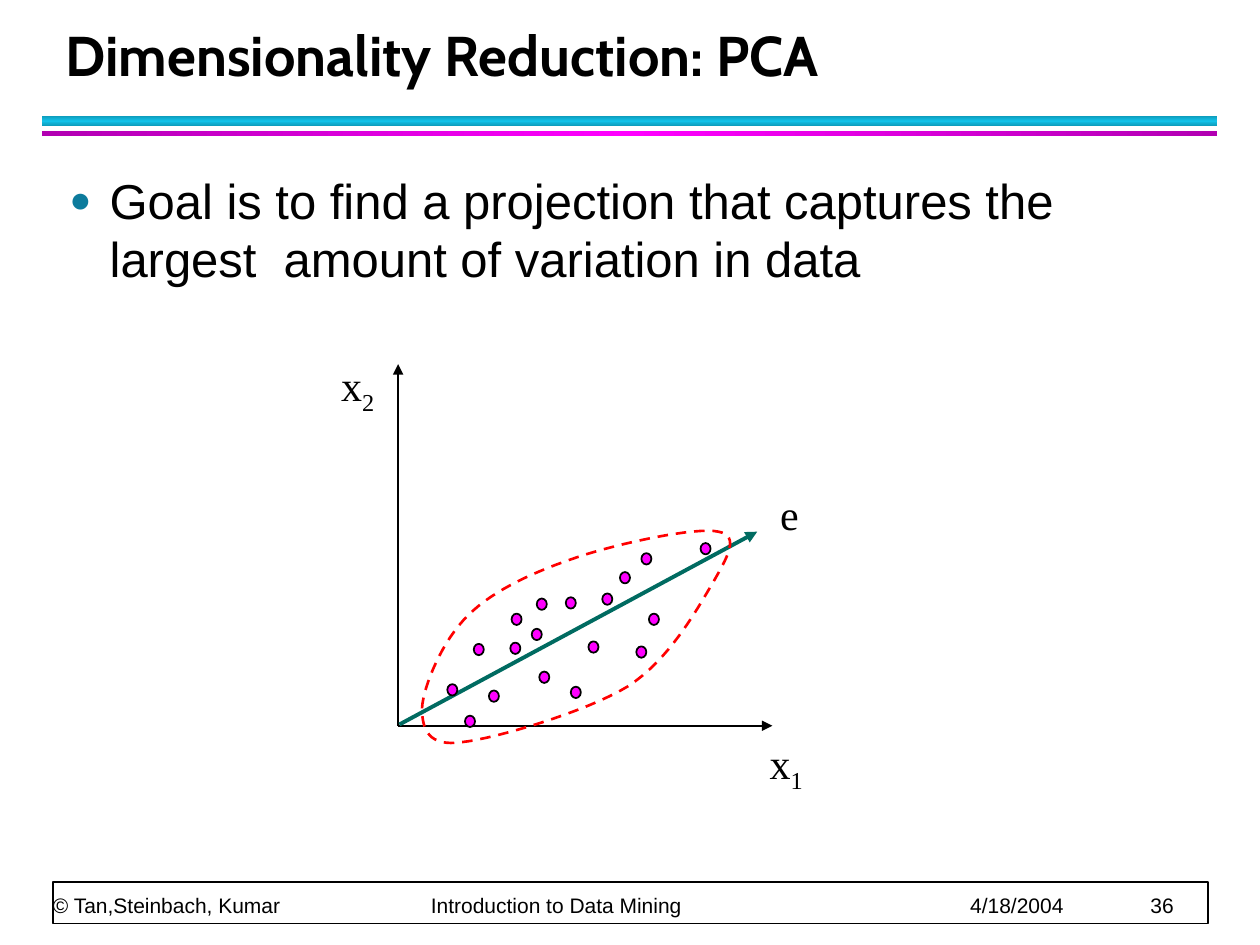
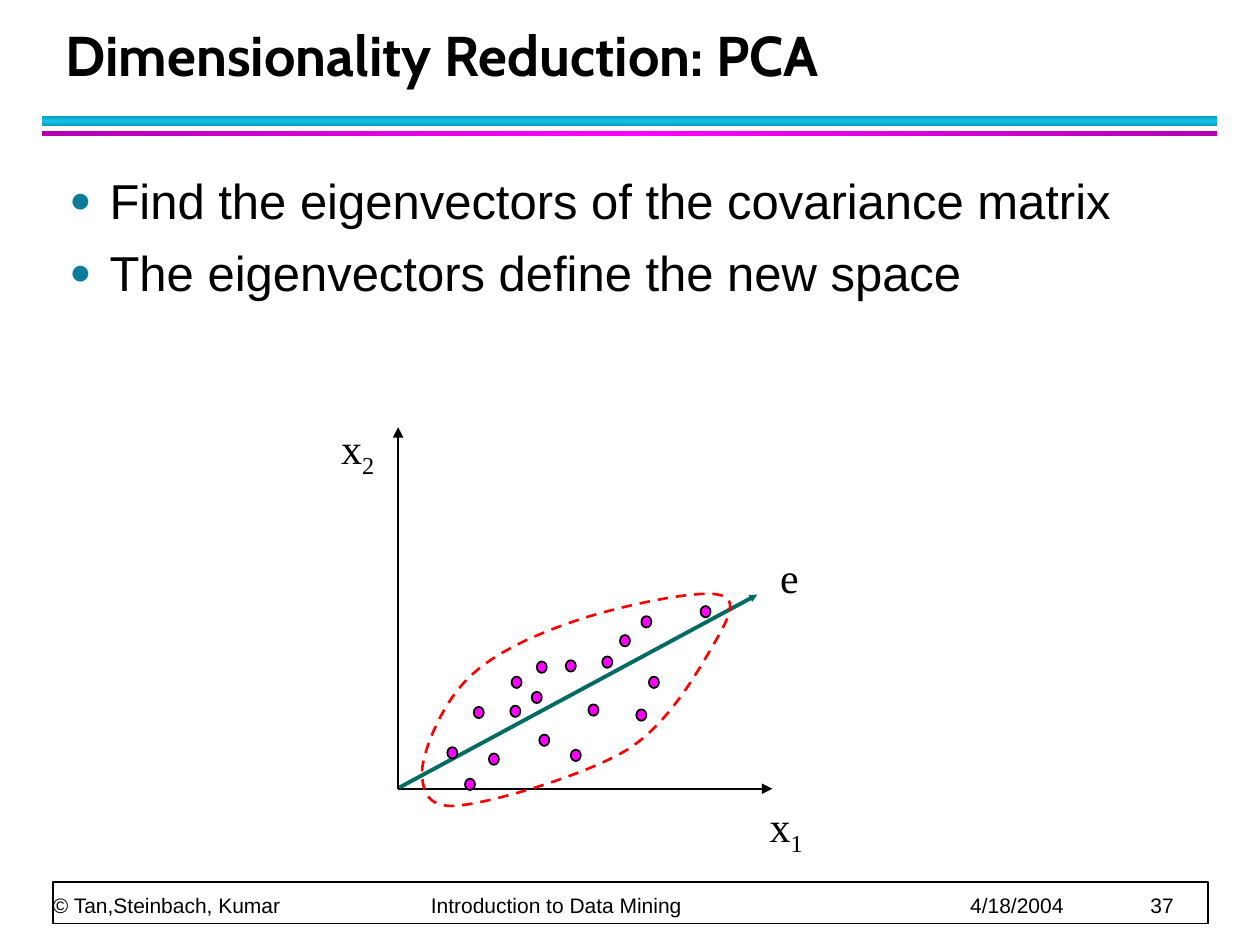
from copy import deepcopy

from lxml.etree import SubElement
from pptx import Presentation
from pptx.dml.color import RGBColor
from pptx.enum.dml import MSO_LINE
from pptx.enum.shapes import MSO_CONNECTOR, MSO_SHAPE
from pptx.enum.text import MSO_ANCHOR, MSO_AUTO_SIZE, PP_ALIGN
from pptx.oxml.ns import qn
from pptx.util import Inches, Pt

COLORS = {
    "ink": "000000", "paper": "FFFFFF", "bullet": "0C7B9C",
    "cyan_edge": "0E9BBA", "cyan": "12C2E9",
    "magenta_edge": "B200B2", "magenta": "FF00FF",
    "vector": "006B61", "outline": "FF0000",
}
STYLES = {
    "title": {"name": "Cabin", "size": Pt(32), "bold": True},
    "body": {"name": "Arial", "size": Pt(28)},
    "footer": {"name": "Arial", "size": Pt(12)},
    "label": {"name": "Times New Roman", "size": Pt(24)},
}
TITLE = "Dimensionality Reduction: PCA"
SLIDES = [
    {"number": 36, "drop": 0, "head": "med", "points": [
        "Goal is to find a projection that captures the largest  amount of variation in data"]},
    {"number": 37, "drop": 0.5, "head": "sm", "points": [
        "Find the eigenvectors of the covariance matrix",
        "The eigenvectors define the new space"]},
]
FOOTER = ["© Tan,Steinbach, Kumar", "Introduction to Data Mining", "4/18/2004"]
FOOTER_TABS = [3, 7.28, 8.71]
BANDS = [
    ((0.33, 0.92, 9.33, 0.08), 90, ("cyan_edge", "cyan", "cyan_edge")),
    ((0.33, 1.04, 9.33, 0.04), 0, ("magenta_edge", "magenta", "magenta_edge")),
]
ORIGIN = (3.16, 5.76)
AXIS_ENDS = [(3.16, 2.89), (6.13, 5.76)]
VECTOR = ((3.17, 5.75), (6.01, 4.22))
DOT_SIZE = (0.08, 0.09)
DOTS = [
    (3.76, 5.11), (4.06, 4.87), (3.55, 5.43), (4.22, 4.99), (4.05, 5.1), (4.67, 5.09),
    (4.53, 5.45), (4.28, 5.33), (4.49, 4.74), (5.15, 4.87), (5.56, 4.31), (3.88, 5.48),
    (4.78, 4.71), (5.09, 4.39), (4.26, 4.75), (4.92, 4.54), (5.05, 5.13), (3.69, 5.68),
]
CLOUD_START = (3.35, 5.62)
CLOUD_CURVES = [
    ((3.36, 5.45), (3.51, 5.08), (3.72, 4.88)),
    ((3.92, 4.68), (4.26, 4.53), (4.59, 4.42)),
    ((4.92, 4.31), (5.53, 4.18), (5.7, 4.22)),
    ((5.88, 4.25), (5.77, 4.43), (5.65, 4.64)),
    ((5.53, 4.84), (5.31, 5.24), (4.98, 5.45)),
    ((4.65, 5.65), (3.94, 5.86), (3.67, 5.89)),
    ((3.4, 5.93), (3.35, 5.79), (3.35, 5.62)),
]
CURVE_STEPS = 16
LABELS = [
    ((2.61, 2.8, 0.46, 0.56), "x", "2"),
    ((6.01, 5.8, 0.46, 0.56), "x", "1"),
    ((6.09, 3.83, 0.35, 0.5), "e", ""),
]


def rgb(name):
    return RGBColor.from_string(COLORS[name])


def lengths(values):
    return [Inches(value) for value in values]


def apply_font(target, style):
    for key, value in STYLES[style].items():
        setattr(target.font, key, value)
    target.font.color.rgb = rgb("ink")


def set_frame(frame, **settings):
    for key, value in settings.items():
        setattr(frame, key, value)


def place(shape, area):
    for key, value in zip(("left", "top", "width", "height"), lengths(area)):
        setattr(shape, key, value)


def set_line(shape, color, width):
    shape.line.color.rgb = rgb(color)
    shape.line.width = Pt(width)


def add_filled(page, kind, area, color):
    shape = page.shapes.add_shape(kind, *lengths(area))
    shape.shadow.inherit = False
    shape.fill.solid()
    shape.fill.fore_color.rgb = rgb(color)
    set_line(shape, "ink", 1)
    return shape


def add_band(page, area, angle, colors):
    band = page.shapes.add_shape(MSO_SHAPE.RECTANGLE, *lengths(area))
    band.shadow.inherit = False
    band.line.fill.background()
    band.fill.gradient()
    band.fill.gradient_angle = angle
    stop_list = band._element.spPr.find(".//" + qn("a:gsLst"))
    stop_list.insert(1, deepcopy(stop_list[0]))
    for stop, position, color in zip(band.fill.gradient_stops, (0, 0.5, 1), colors):
        stop.position = position
        stop.color.rgb = rgb(color)


def add_footer(page, number):
    add_filled(page, MSO_SHAPE.RECTANGLE, (0.42, 7, 9.17, 0.33), "paper")
    box = page.shapes.add_textbox(*lengths((0.42, 6.72, 9.15, 0.56)))
    set_frame(box.text_frame, word_wrap=True, vertical_anchor=MSO_ANCHOR.BOTTOM,
              margin_left=0, margin_top=0, margin_right=0, margin_bottom=0)
    para = box.text_frame.paragraphs[0]
    para.text = "\t".join([*FOOTER, str(number)])
    para.line_spacing = Pt(20)
    tabs = SubElement(para._p.get_or_add_pPr(), qn("a:tabLst"))
    for position in FOOTER_TABS:
        SubElement(tabs, qn("a:tab"), pos=str(Inches(position)), algn="l")
    apply_font(para, "footer")


def fill_title(page):
    title = page.shapes.title
    place(title, (0.42, 0.17, 9.06, 0.58))
    set_frame(title.text_frame, text=TITLE, vertical_anchor=MSO_ANCHOR.BOTTOM,
              auto_size=MSO_AUTO_SIZE.NONE)
    para = title.text_frame.paragraphs[0]
    para.alignment = PP_ALIGN.LEFT
    para.line_spacing = Pt(36)
    apply_font(para, "title")


def fill_body(page, points):
    body = page.placeholders[1]
    place(body, (0.45, 1.25, 9.1, 5.67))
    set_frame(body.text_frame, text="\n".join(points), margin_top=Inches(0.1),
              auto_size=MSO_AUTO_SIZE.NONE)
    for index, para in enumerate(body.text_frame.paragraphs):
        para.space_before = Pt(3.5 if index else 0)
        para.space_after = Pt(4)
        settings = para._p.get_or_add_pPr()
        settings.set("marL", str(Inches(0.32)))
        settings.set("indent", str(Inches(-0.32)))
        color = SubElement(settings, qn("a:buClr"))
        SubElement(color, qn("a:srgbClr"), val=COLORS["bullet"])
        SubElement(settings, qn("a:buSzPct"), val="75000")
        SubElement(settings, qn("a:buChar"), char="●")
        apply_font(para, "body")


def add_arrow(page, start, end, color, width, head="med"):
    arrow = page.shapes.add_connector(MSO_CONNECTOR.STRAIGHT, *lengths((*start, *end)))
    set_line(arrow, color, width)
    SubElement(arrow.line._get_or_add_ln(), qn("a:tailEnd"), type="triangle", w=head, len=head)
    SubElement(arrow._element.spPr, qn("a:effectLst"))


def curve_points(start, curves):
    for first, second, end in curves:
        for step in range(1, CURVE_STEPS + 1):
            t = step / CURVE_STEPS
            weights = ((1 - t) ** 3, 3 * t * (1 - t) ** 2, 3 * t * t * (1 - t), t ** 3)
            corners = (start, first, second, end)
            yield tuple(sum(w * c[axis] for w, c in zip(weights, corners)) for axis in (0, 1))
        start = end


def add_cloud_outline(page, shift):
    builder = page.shapes.build_freeform(*lengths(shift(CLOUD_START)))
    points = [lengths(shift(point)) for point in curve_points(CLOUD_START, CLOUD_CURVES)]
    builder.add_line_segments(points, close=True)
    outline = builder.convert_to_shape()
    outline.shadow.inherit = False
    outline.fill.background()
    set_line(outline, "outline", 1.5)
    outline.line.dash_style = MSO_LINE.DASH


def add_label(page, area, text, subscript):
    box = page.shapes.add_textbox(*lengths(area))
    set_frame(box.text_frame, word_wrap=False, vertical_anchor=MSO_ANCHOR.MIDDLE,
              auto_size=MSO_AUTO_SIZE.SHAPE_TO_FIT_TEXT)
    para = box.text_frame.paragraphs[0]
    para.alignment = PP_ALIGN.CENTER
    for part, baseline in ((text, 0), (subscript, -25000)):
        if part:
            span = para.add_run()
            span.text = part
            apply_font(span, "label")
            if baseline:
                span._r.get_or_add_rPr().set("baseline", str(baseline))


def add_plot(page, drop, head):
    def shift(point):
        return point[0], point[1] + drop

    for end in AXIS_ENDS:
        add_arrow(page, shift(ORIGIN), shift(end), "ink", 1)
    add_arrow(page, *map(shift, VECTOR), "vector", 2.25, head)
    for dot in DOTS:
        add_filled(page, MSO_SHAPE.OVAL, (*shift(dot), *DOT_SIZE), "magenta")
    add_cloud_outline(page, shift)
    for (left, top, width, height), text, subscript in LABELS:
        add_label(page, (left, top + drop, width, height), text, subscript)


def main():
    deck = Presentation()
    deck.slide_width, deck.slide_height = lengths((10, 7.5))
    for content in SLIDES:
        page = deck.slides.add_slide(deck.slide_layouts[1])
        for band in BANDS:
            add_band(page, *band)
        add_footer(page, content["number"])
        fill_title(page)
        fill_body(page, content["points"])
        add_plot(page, content["drop"], content["head"])
    deck.save("out.pptx")


if __name__ == "__main__":
    main()
